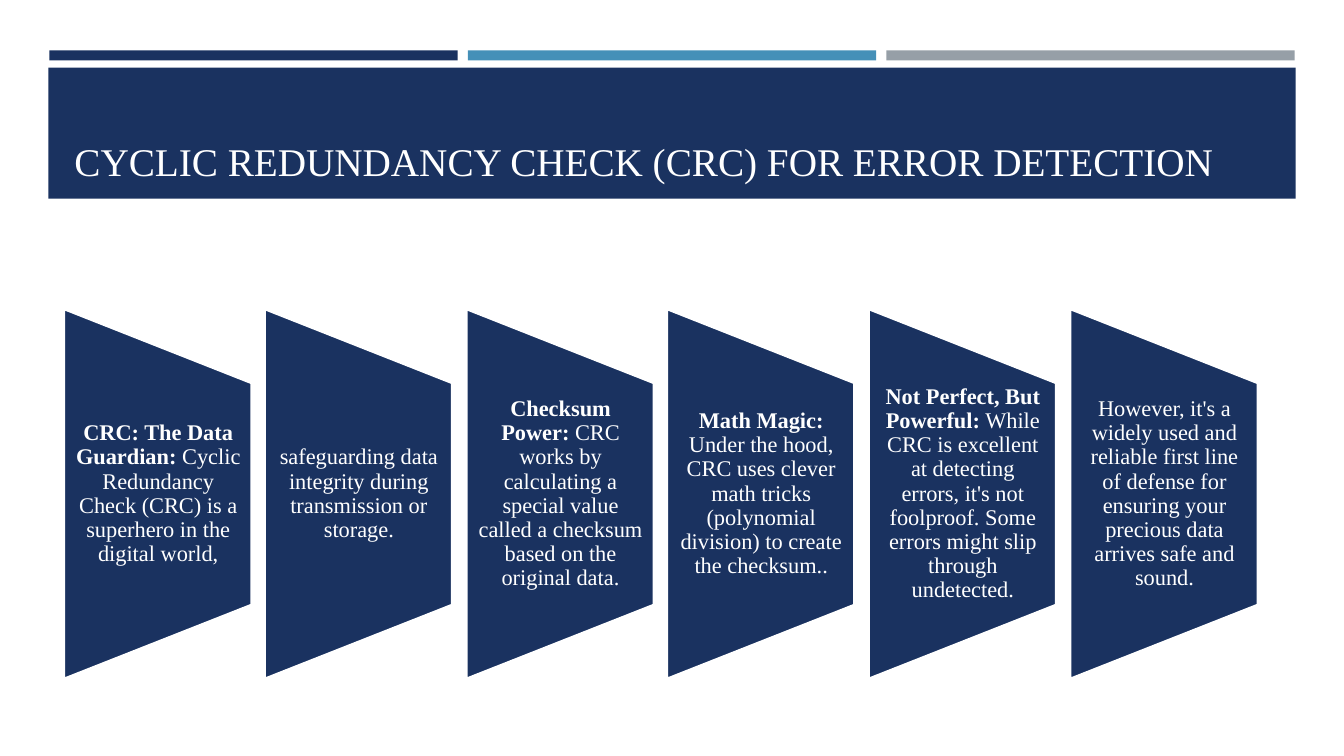
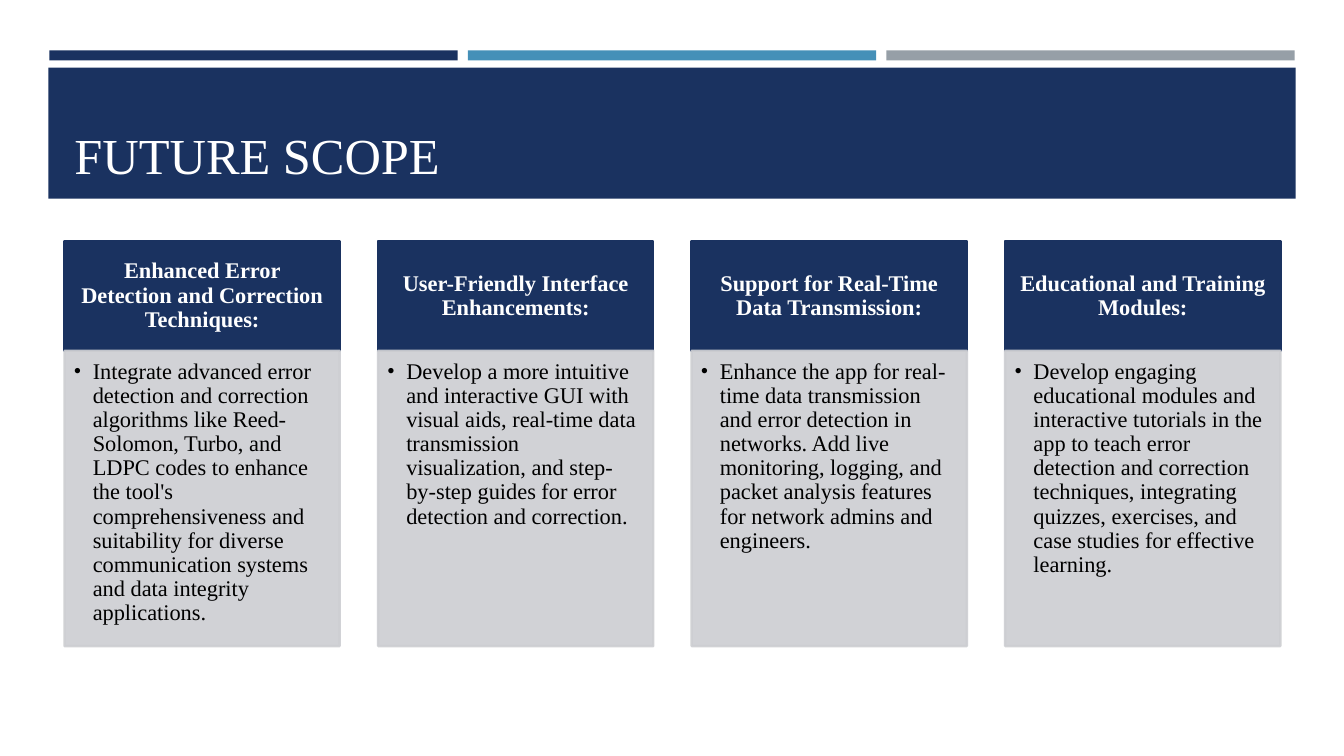
"""Build two slides on the CRC check and the future scope of the app."""
from lxml.etree import SubElement
from pptx import Presentation
from pptx.dml.color import RGBColor
from pptx.enum.shapes import MSO_SHAPE
from pptx.enum.text import MSO_ANCHOR, PP_ALIGN
from pptx.oxml.ns import qn
from pptx.util import Emu, Pt

SCALE = 9144
FONT = "Times New Roman"
HUES = {
    "navy": "1A3260",
    "blue": "4590B8",
    "gray": "969FA7",
    "pale": "CDCED2",
    "white": "FFFFFF",
    "black": "000000",
}
BARS = ["navy", "blue", "gray"]

STEPS = [
    ("CRC: The Data Guardian:",
     " Cyclic Redundancy Check (CRC) is a superhero in the digital world,"),
    ("", "safeguarding data integrity during transmission or storage."),
    ("Checksum Power:",
     " CRC works by calculating a special value called a checksum based on"
     " the original data."),
    ("Math Magic:",
     " Under the hood, CRC uses clever math tricks (polynomial division) to"
     " create the checksum.."),
    ("Not Perfect, But Powerful:",
     " While CRC is excellent at detecting errors, it's not foolproof. Some"
     " errors might slip through undetected."),
    ("",
     "However, it's a widely used and reliable first line of defense for"
     " ensuring your precious data arrives safe and sound."),
]

CARDS = [
    ("Enhanced Error Detection and Correction Techniques:",
     "Integrate advanced error detection and correction algorithms like"
     " Reed-Solomon, Turbo, and LDPC codes to enhance the tool's"
     " comprehensiveness and suitability for diverse communication systems"
     " and data integrity applications."),
    ("User-Friendly Interface Enhancements:",
     "Develop a more intuitive and interactive GUI with visual aids,"
     " real-time data transmission visualization, and step-by-step guides"
     " for error detection and correction."),
    ("Support for Real-Time Data Transmission:",
     "Enhance the app for real-time data transmission and error detection in"
     " networks. Add live monitoring, logging, and packet analysis features"
     " for network admins and engineers."),
    ("Educational and Training Modules:",
     "Develop engaging educational modules and interactive tutorials in the"
     " app to teach error detection and correction techniques, integrating"
     " quizzes, exercises, and case studies for effective learning."),
]


def px(size):
    return Emu(size * SCALE)


def hue(name):
    return RGBColor.from_string(HUES[name])


def fade(part, share):
    for tint in part.iter(qn("a:srgbClr")):
        SubElement(tint, qn("a:alpha")).set("val", str(share * 1000))


def shape(slide, box, fill, line=None, kind=MSO_SHAPE.RECTANGLE, share=100):
    item = slide.shapes.add_shape(kind, *map(px, box))
    item.shadow.inherit = False
    item.fill.solid()
    item.fill.fore_color.rgb = hue(fill)
    if line:
        item.line.color.rgb = hue(line)
        item.line.width = Pt(1.75)
    else:
        item.line.fill.background()
    if share < 100:
        fade(item.element.spPr, share)
    return item


def write(item, text, head="", size=16, color="white", bold=False,
          align=PP_ALIGN.CENTER, anchor=MSO_ANCHOR.MIDDLE,
          inset=(0, 0, 0, 0), space=0.9):
    frame = item.text_frame
    frame.word_wrap = True
    frame.vertical_anchor = anchor
    (frame.margin_left, frame.margin_top,
     frame.margin_right, frame.margin_bottom) = map(px, inset)
    para = frame.paragraphs[0]
    para.alignment = align
    para.line_spacing = space
    for words, heavy in ((head, True), (text, bold)):
        if words:
            run = para.add_run()
            run.text = words
            run.font.name = FONT
            run.font.size = Pt(size)
            run.font.bold = heavy
            run.font.color.rgb = hue(color)
    return para


def bullet(para, dent):
    props = para._p.get_or_add_pPr()
    props.set("marL", str(px(dent)))
    props.set("indent", str(-px(dent)))
    SubElement(props, qn("a:buFont")).set("typeface", FONT)
    SubElement(props, qn("a:buChar")).set("char", "•")


def page(deck, title, size):
    slide = deck.slides.add_slide(deck.slide_layouts[6])
    for i, fill in enumerate(BARS):
        shape(slide, (49 + 415 * i, 50, 405, 10), fill)
    shape(slide, (48, 67, 1237, 130), "navy")
    label = slide.shapes.add_textbox(*map(px, (64, 77, 1206, 111)))
    write(label, title, size=size, align=PP_ALIGN.LEFT,
          anchor=MSO_ANCHOR.BOTTOM, inset=(10, 5, 10, 5), space=1)
    return slide


def step(slide, left, head, text):
    wide, tall, mid = 186, 367, 490
    wedge = shape(slide, (left + (wide - tall) // 2, mid - wide // 2, tall, wide),
                  "navy", "white", MSO_SHAPE.FLOWCHART_MANUAL_OPERATION)
    wedge.rotation = 270
    label = slide.shapes.add_textbox(*map(px, (left, mid - 110, wide, 220)))
    write(label, text, head, inset=(11, 0, 11, 0))


def card(slide, left, head, text):
    wide, top, split, end = 273, 239, 348, 641
    cap = shape(slide, (left, top, wide, split - top), "navy", "navy")
    write(cap, head, bold=True, inset=(12, 7, 12, 7))
    body = shape(slide, (left, split, wide, end - split), "pale", "pale", share=90)
    para = write(body, text, color="black", align=PP_ALIGN.LEFT,
                 anchor=MSO_ANCHOR.TOP, inset=(9, 9, 12, 14))
    bullet(para, 19)


def main():
    deck = Presentation()
    deck.slide_width, deck.slide_height = px(1333), px(750)
    slide = page(deck, "CYCLIC REDUNDANCY CHECK (CRC) FOR ERROR DETECTION", 28)
    for i, (head, text) in enumerate(STEPS):
        step(slide, 64 + 998 * i // 5, head, text)
    slide = page(deck, "FUTURE SCOPE", 36)
    for i, (head, text) in enumerate(CARDS):
        card(slide, 64 + 311 * i, head, text)
    deck.save("out.pptx")


if __name__ == "__main__":
    main()
